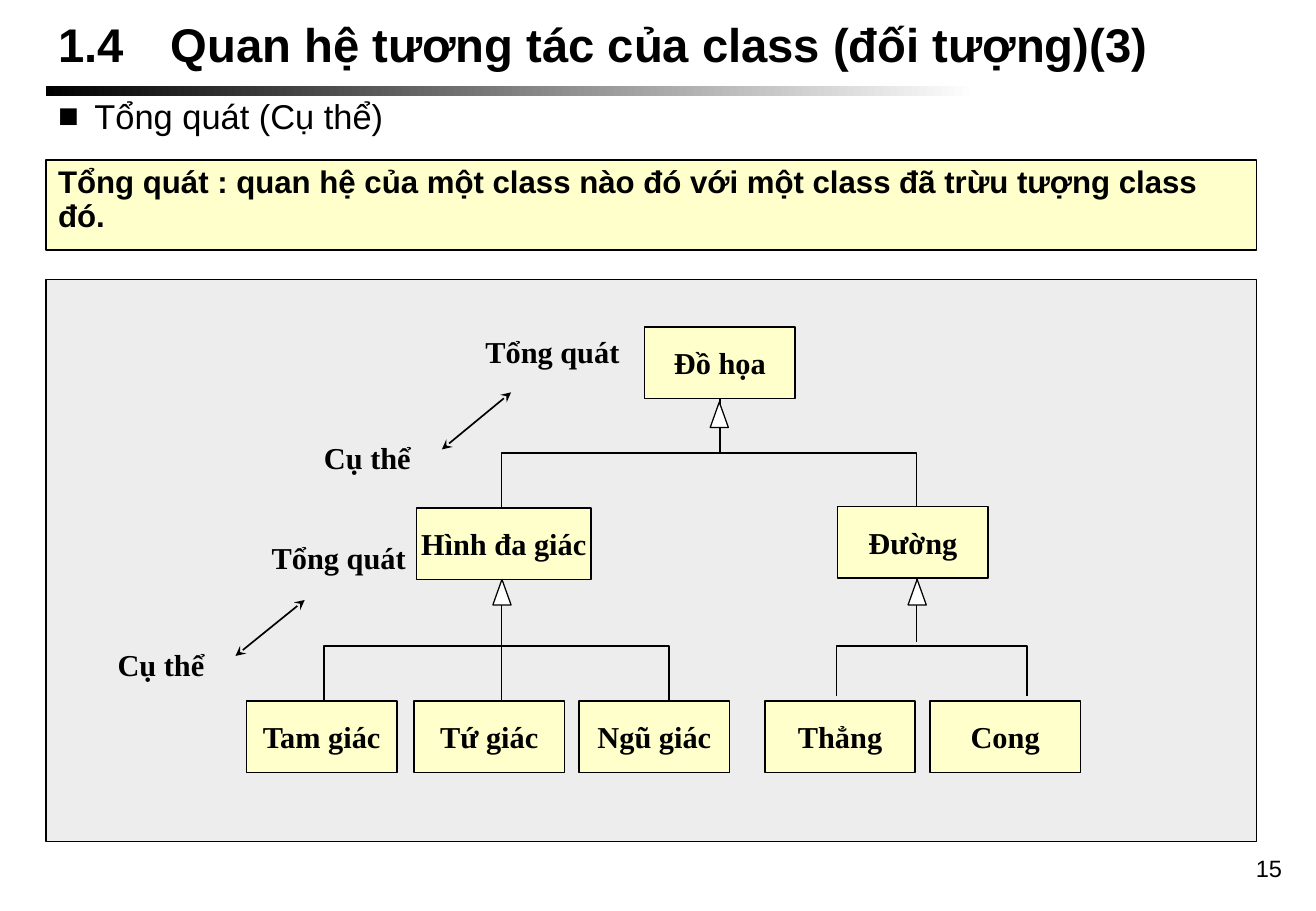
import pptx
import pptx.dml.color
import pptx.enum.shapes
import pptx.enum.text
import pptx.oxml
import pptx.oxml.ns
import pptx.util

# Content; lengths in px, 100 px to the inch
TITLE = "1.4　Quan hệ tương tác của class (đối tượng)(3)"
TOPIC = "Tổng quát (Cụ thể)"
DEFINITION = ("Tổng quát : quan hệ của một class nào đó với một class "
              "đã trừu tượng class đó.")
PAGE_NUMBER = "15"

CLASS_WIDTH, CLASS_HEIGHT = 124, 59
LEAF_TOP = 577
CLASSES = [  # name, left, top, width
    ("Đồ họa", 531, 269, CLASS_WIDTH),
    ("Đường", 690, 417, CLASS_WIDTH),
    ("Hình đa giác", 343, 418, 144),
    ("Tam giác", 203, LEAF_TOP, CLASS_WIDTH),
    ("Tứ giác", 341, LEAF_TOP, CLASS_WIDTH),
    ("Ngũ giác", 477, LEAF_TOP, CLASS_WIDTH),
    ("Thẳng", 630, LEAF_TOP, CLASS_WIDTH),
    ("Cong", 766, LEAF_TOP, CLASS_WIDTH),
]
BRACKETS = [  # left, right, bar, left foot, right foot
    (413, 755, 373, 576, 529),
    (689, 846, 532, 573, 573),
    (267, 551, 532, 576, 576),
]
TRIANGLES = [(406, 477), (748, 477), (585, 331)]
LABELS = [  # text, left, top, width
    ("Tổng quát", 390, 269, 137),
    ("Cụ thể", 257, 357, 104),
    ("Tổng quát", 214, 439, 144),
    ("Cụ thể", 87, 527, 104),
]
LABEL_ARROWS = [(421, 323, 364, 370), (251, 494, 194, 540)]

COLORS = {"ink": "000000", "paper": "FFFFFF", "cream": "FFFFCC", "panel": "DDDDDD"}
SANS, SERIF = "Arial", "Times New Roman"
ALIGN = pptx.enum.text.PP_ALIGN
ANCHOR = pptx.enum.text.MSO_ANCHOR
SHAPE = pptx.enum.shapes.MSO_SHAPE


def px(length):
    return pptx.util.Emu(length * 9144)


def rgb(name):
    return pptx.dml.color.RGBColor.from_string(COLORS[name])


def element(parent, tag, **attributes):
    child = pptx.oxml.parse_xml(f"<a:{tag} {pptx.oxml.ns.nsdecls('a')}/>")
    for key, value in attributes.items():
        child.set(key, value)
    parent.append(child)
    return child


def write(box, text, size, font=SERIF, bold=True, align=ALIGN.LEFT,
          anchor=ANCHOR.TOP, wrap=True, spacing=None, bullet=None):
    frame = box.text_frame
    frame.auto_size = pptx.enum.text.MSO_AUTO_SIZE.NONE
    frame.word_wrap = wrap
    frame.vertical_anchor = anchor
    para = frame.paragraphs[0]
    para.alignment = align
    if spacing:
        para.line_spacing = spacing
    if bullet:
        properties = para._p.get_or_add_pPr()
        properties.set("marL", str(px(30)))
        properties.set("indent", str(px(-30)))
        element(element(properties, "buClr"), "srgbClr", val=COLORS["ink"])
        element(properties, "buFont", typeface=font)
        element(properties, "buChar", char=bullet)
    span = para.add_run()
    span.text = text
    span.font.name = font
    span.font.size = pptx.util.Pt(size)
    span.font.bold = bold
    span.font.color.rgb = rgb("ink")


def style_line(shape, width=1):
    shape.line.color.rgb = rgb("ink")
    shape.line.width = pptx.util.Pt(width)


def add_box(kind, left, top, width, height, fill, line_width=1):
    box = page.shapes.add_shape(kind, px(left), px(top), px(width), px(height))
    box.shadow.inherit = False
    box.fill.solid()
    box.fill.fore_color.rgb = rgb(fill)
    style_line(box, line_width)
    return box


def add_text(text, left, top, width, height, size, **style):
    box = page.shapes.add_textbox(px(left), px(top), px(width), px(height))
    write(box, text, size, **style)


def add_line(x1, y1, x2, y2):
    line = page.shapes.add_connector(
        pptx.enum.shapes.MSO_CONNECTOR.STRAIGHT, px(x1), px(y1), px(x2), px(y2))
    style_line(line)
    element(line._element.spPr, "effectLst")
    return line


deck = pptx.Presentation()
deck.slide_width, deck.slide_height = px(1084), px(750)
page = deck.slides.add_slide(deck.slide_layouts[5])

# Heading with its fading rule
rule = add_box(SHAPE.RECTANGLE, 38, 71, 767, 8, "ink")
rule.line.fill.background()
rule.fill.gradient()
rule.fill.gradient_angle = 180
for stop, color in zip(rule.fill.gradient_stops, ("paper", "ink")):
    stop.color.rgb = rgb(color)

title = page.shapes.title
title.left, title.top, title.width, title.height = px(38), px(9), px(1008), px(54)
write(title, TITLE, 28, font=SANS, anchor=ANCHOR.MIDDLE)
add_text(TOPIC, 38, 77, 1021, 44, 20.4, font=SANS, bold=False,
         spacing=0.9, bullet="■")

# Definition and diagram panel
definition = add_box(SHAPE.RECTANGLE, 38, 132, 997, 74, "cream")
write(definition, DEFINITION, 18.5, font=SANS, spacing=0.9)
panel = add_box(SHAPE.RECTANGLE, 38, 230, 997, 463, "panel", 0.75)
panel_color = panel._element.spPr.find(".//" + pptx.oxml.ns.qn("a:srgbClr"))
element(panel_color, "alpha", val="50000")

# Inheritance brackets, drawn under the class boxes
for left, right, bar, left_foot, right_foot in BRACKETS:
    builder = page.shapes.build_freeform(px(left), px(left_foot))
    builder.add_line_segments(
        [(px(left), px(bar)), (px(right), px(bar)), (px(right), px(right_foot))],
        close=False)
    bracket = builder.convert_to_shape()
    bracket.shadow.inherit = False
    bracket.fill.background()
    style_line(bracket)

# Classes
class_boxes = {}
for name, left, top, width in CLASSES:
    box = add_box(SHAPE.RECTANGLE, left, top, width, CLASS_HEIGHT, "cream")
    write(box, name, 18, align=ALIGN.CENTER, anchor=ANCHOR.MIDDLE, wrap=False)
    class_boxes[name] = box

stem = add_line(593, 328, 593, 373)
stem.begin_connect(class_boxes["Đồ họa"], 2)
for left, top in TRIANGLES:
    add_box(SHAPE.ISOSCELES_TRIANGLE, left, top, 15, 21, "paper", 0.75)

# General and specific labels
for text, left, top, width in LABELS:
    add_text(text, left, top, width, 40, 18)
for ends in LABEL_ARROWS:
    arrow = add_line(*ends)
    for tag in ("headEnd", "tailEnd"):
        element(arrow.line._get_or_add_ln(), tag, type="stealth")

add_text(PAGE_NUMBER, 833, 698, 233, 52, 14, font=SANS, bold=False,
         align=ALIGN.RIGHT)

deck.save("out.pptx")
